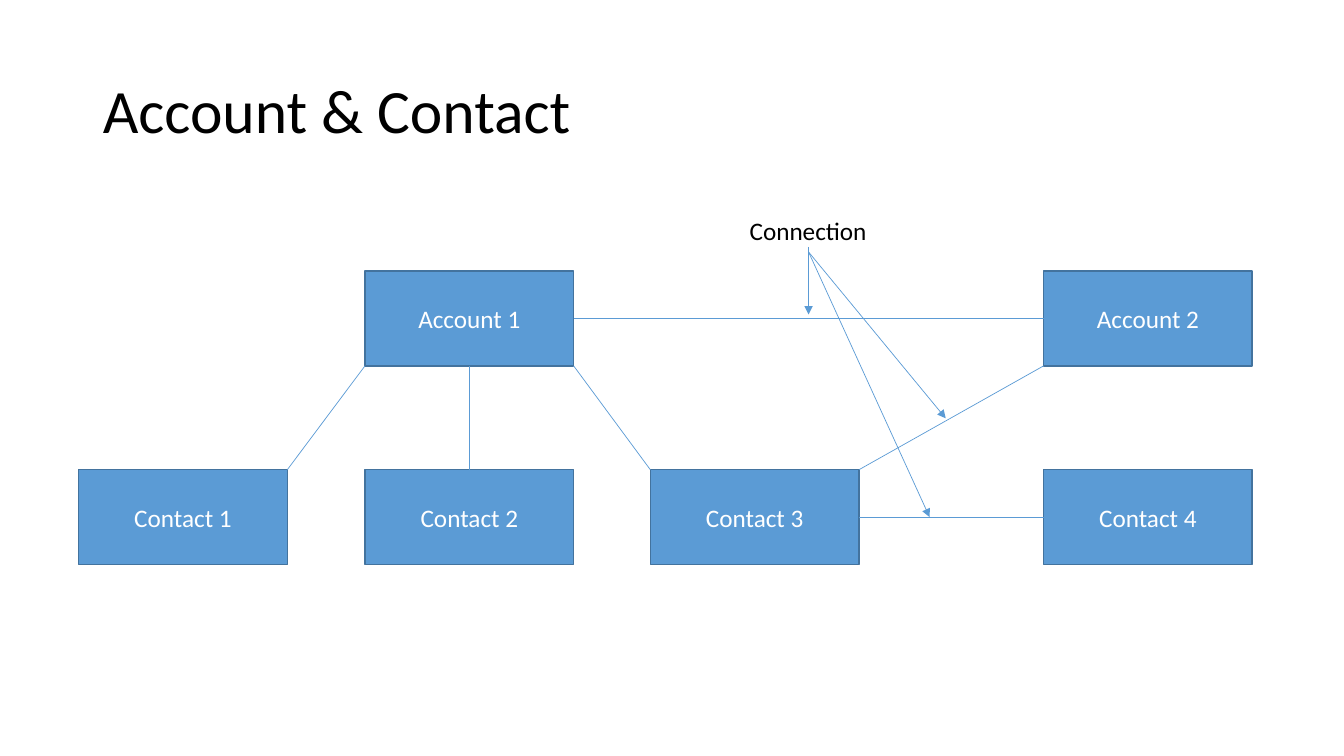
import pptx
import pptx.util
import pptx.dml.color
import pptx.enum.shapes
import pptx.enum.text
import pptx.oxml.ns
import lxml.etree

Inches = pptx.util.Inches
Pt = pptx.util.Pt
RGBColor = pptx.dml.color.RGBColor
ALIGN = pptx.enum.text.PP_ALIGN
ANCHOR = pptx.enum.text.MSO_ANCHOR
qn = pptx.oxml.ns.qn

BLUE = RGBColor(0x5B, 0x9B, 0xD5)
DARK_BLUE = RGBColor(0x43, 0x73, 0x9E)
WHITE = RGBColor(0xFF, 0xFF, 0xFF)
BLACK = RGBColor(0, 0, 0)

BOX_W, BOX_H = 2.07, 0.94
ACCOUNT_Y, CONTACT_Y = 2.69, 4.66
COLUMNS = [0.78, 3.62, 6.45, 10.35]
TOP, LEFT, BOTTOM, RIGHT = range(4)


class Diagram:
    font = "Calibri"

    def __init__(self, prs):
        self.slide = prs.slides.add_slide(prs.slide_layouts[5])
        self.shapes = self.slide.shapes

    def set_text(self, sp, text, size, color, align, anchor):
        tf = sp.text_frame
        tf.text = text
        tf.word_wrap = True
        tf.vertical_anchor = anchor
        p = tf.paragraphs[0]
        p.alignment = align
        for r in p.runs:
            r.font.name = self.font
            r.font.size = Pt(size)
            r.font.color.rgb = color
        return p

    def title(self, text, x, y, w, h):
        sp = self.shapes.title
        sp.left, sp.top, sp.width, sp.height = map(Inches, (x, y, w, h))
        p = self.set_text(sp, text, 44, BLACK, ALIGN.LEFT, ANCHOR.MIDDLE)
        p.line_spacing = 0.9

    def label(self, text, x, y, w, h):
        sp = self.shapes.add_textbox(*map(Inches, (x, y, w, h)))
        self.set_text(sp, text, 18, BLACK, ALIGN.CENTER, ANCHOR.TOP)
        sp.text_frame.auto_size = pptx.enum.text.MSO_AUTO_SIZE.SHAPE_TO_FIT_TEXT

    def box(self, text, x, y):
        sp = self.shapes.add_shape(
            pptx.enum.shapes.MSO_SHAPE.RECTANGLE,
            Inches(x), Inches(y), Inches(BOX_W), Inches(BOX_H))
        sp.shadow.inherit = False
        sp.fill.solid()
        sp.fill.fore_color.rgb = BLUE
        sp.line.color.rgb = DARK_BLUE
        sp.line.width = Pt(1)
        self.set_text(sp, text, 18, WHITE, ALIGN.CENTER, ANCHOR.MIDDLE)
        return sp

    def line(self, start=(0, 0), end=(0, 0)):
        cxn = self.shapes.add_connector(
            pptx.enum.shapes.MSO_CONNECTOR.STRAIGHT, *map(Inches, (*start, *end)))
        cxn.line.color.rgb = BLUE
        cxn.line.width = Pt(0.5)
        lxml.etree.SubElement(cxn.element.spPr, qn("a:effectLst"))
        return cxn

    def arrow(self, start, end):
        ln = self.line(start, end).get_or_add_ln()
        lxml.etree.SubElement(ln, qn("a:tailEnd"), type="triangle")

    def join(self, first, first_side, second, second_side):
        cxn = self.line()
        cxn.begin_connect(first, first_side)
        cxn.end_connect(second, second_side)


def main():
    prs = pptx.Presentation()
    prs.slide_width, prs.slide_height = Inches(13.33), Inches(7.5)
    d = Diagram(prs)
    d.title("Account & Contact", 0.92, 0.4, 11.5, 1.45)

    contacts = [d.box(f"Contact {i}", x, CONTACT_Y)
                for i, x in enumerate(COLUMNS, 1)]
    accounts = [d.box(f"Account {i}", x, ACCOUNT_Y)
                for i, x in enumerate(COLUMNS[1::2], 1)]

    d.join(accounts[0], BOTTOM, contacts[1], TOP)
    d.join(accounts[0], RIGHT, accounts[1], LEFT)
    d.join(contacts[2], RIGHT, contacts[3], LEFT)

    account_bottom = ACCOUNT_Y + BOX_H
    corner_lines = [
        (COLUMNS[1], COLUMNS[0] + BOX_W),
        (COLUMNS[1] + BOX_W, COLUMNS[2]),
        (COLUMNS[3], COLUMNS[2] + BOX_W),
    ]
    for account_x, contact_x in corner_lines:
        d.line((account_x, account_bottom), (contact_x, CONTACT_Y))

    d.label("Connection", 6.81, 2.09, 2.41, 0.4)
    d.arrow((8.02, 2.45), (8.02, 3.12))
    for target in [(9.22, 5.13), (9.38, 4.15)]:
        d.arrow((8.02, 2.5), target)

    prs.save("out.pptx")


if __name__ == "__main__":
    main()
